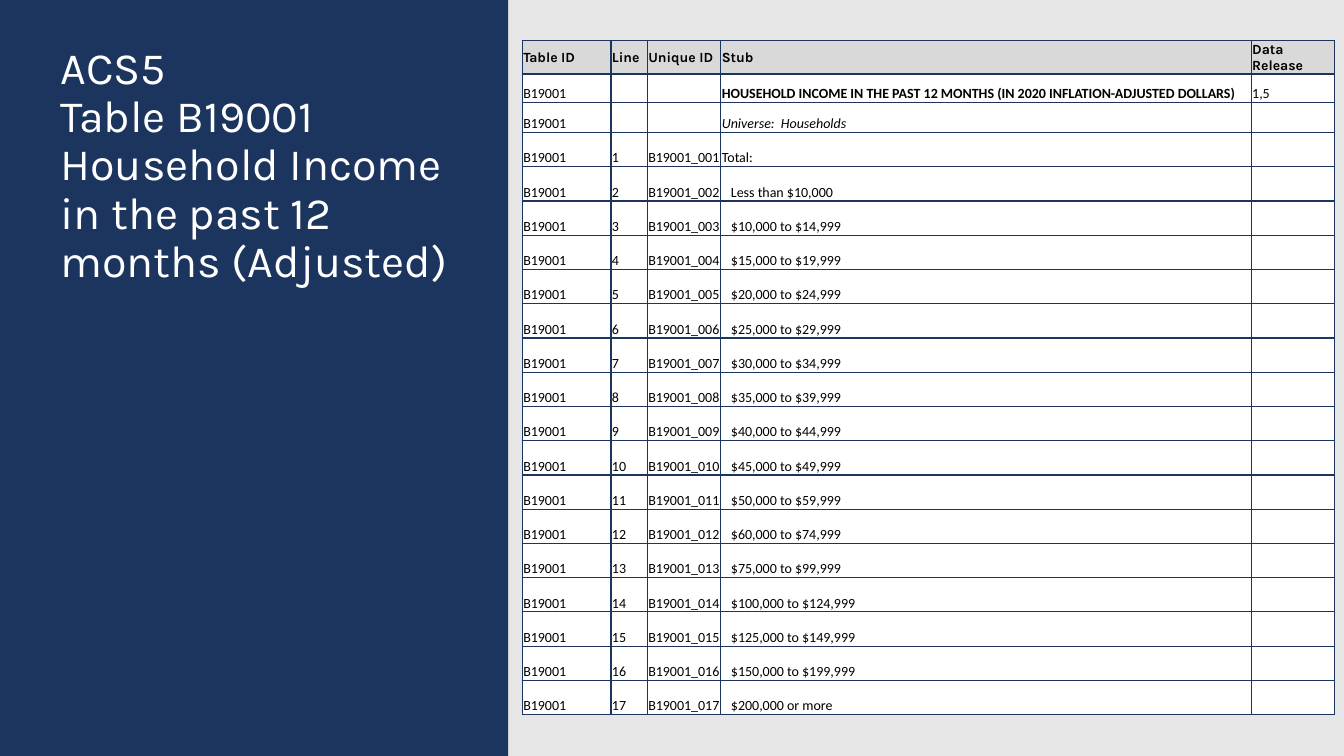
from lxml.etree import SubElement
from pptx import Presentation
from pptx.dml.color import RGBColor
from pptx.enum.shapes import MSO_SHAPE
from pptx.enum.text import MSO_ANCHOR, MSO_AUTO_SIZE, PP_ALIGN
from pptx.oxml.ns import qn
from pptx.util import Inches, Pt

NAVY = RGBColor(0x1C, 0x35, 0x5E)
PALE_GRAY = RGBColor(0xE7, 0xE6, 0xE6)
HEADER_GRAY = RGBColor(0xD9, 0xD9, 0xD9)
WHITE = RGBColor(0xFF, 0xFF, 0xFF)
BLACK = RGBColor(0, 0, 0)

TITLE = "ACS5\vTable B19001\vHousehold Income in the past 12 months (Adjusted)"
TABLE_ID = "B19001"
HEADINGS = ["Table ID", "Line", "Unique ID", "Stub", "Data Release"]
SUBJECT = "HOUSEHOLD INCOME IN THE PAST 12 MONTHS (IN 2020 INFLATION-ADJUSTED DOLLARS)"
UNIVERSE = "Universe:  Households"
STUBS = [
    "Total:", "Less than $10,000", "$10,000 to $14,999", "$15,000 to $19,999",
    "$20,000 to $24,999", "$25,000 to $29,999", "$30,000 to $34,999",
    "$35,000 to $39,999", "$40,000 to $44,999", "$45,000 to $49,999",
    "$50,000 to $59,999", "$60,000 to $74,999", "$75,000 to $99,999",
    "$100,000 to $124,999", "$125,000 to $149,999", "$150,000 to $199,999",
    "$200,000 or more",
]
COLUMN_WIDTHS = [0.88, 0.36, 0.73, 5.26, 0.83]
STUB_COLUMN = HEADINGS.index("Stub")
ROW_HEIGHTS = [0.27, 0.28, 0.3] + [0.34] * len(STUBS)


def add_title(slide):
    title = slide.shapes.title
    title.left, title.top = Inches(0.5), Inches(0.4)
    title.width, title.height = Inches(4.36), Inches(2.69)
    frame = title.text_frame
    frame.text = TITLE
    frame.word_wrap = True
    frame.auto_size = MSO_AUTO_SIZE.NONE
    frame.vertical_anchor = MSO_ANCHOR.TOP
    paragraph = frame.paragraphs[0]
    paragraph.alignment = PP_ALIGN.LEFT
    paragraph.line_spacing = 0.9
    for run in paragraph.runs:
        run.font.name = "Karla"
        run.font.size = Pt(32)
        run.font.color.rgb = WHITE


def add_title_panel(slide):
    """Place the navy panel behind the title."""
    panel = slide.shapes.add_shape(
        MSO_SHAPE.RECTANGLE, 0, 0, Inches(5.04), Inches(7.5))
    panel.shadow.inherit = False
    panel.fill.solid()
    panel.fill.fore_color.rgb = NAVY
    panel.line.fill.background()
    slide.shapes.title.element.addprevious(panel.element)


def set_borders(cell):
    properties = cell._tc.get_or_add_tcPr()
    for position, side in enumerate(("a:lnL", "a:lnR", "a:lnT", "a:lnB")):
        line = SubElement(properties, qn(side), w=str(Pt(1)))
        fill = SubElement(line, qn("a:solidFill"))
        SubElement(fill, qn("a:srgbClr"), val=str(NAVY))
        properties.insert(position, line)


def fill_cell(cell, text, header=False, bold=False, italic=False, indent=0.01):
    cell.fill.solid()
    cell.fill.fore_color.rgb = HEADER_GRAY if header else WHITE
    set_borders(cell)
    cell.margin_left = Inches(indent)
    cell.margin_top = cell.margin_right = Inches(0.01)
    cell.margin_bottom = 0
    cell.vertical_anchor = MSO_ANCHOR.MIDDLE if header else MSO_ANCHOR.BOTTOM
    paragraph = cell.text_frame.paragraphs[0]
    if not text:
        SubElement(paragraph._p, qn("a:endParaRPr"), sz="1000")
        return
    paragraph.text = text
    font = paragraph.runs[0].font
    font.name = "Karla" if header else "Calibri"
    font.size = Pt(10)
    font.bold = header or bold
    font.italic = italic
    font.color.rgb = BLACK


def add_income_table(slide):
    records = [
        HEADINGS,
        [TABLE_ID, "", "", SUBJECT, "1,5"],
        [TABLE_ID, "", "", UNIVERSE, ""],
    ]
    records += [[TABLE_ID, str(line), f"{TABLE_ID}_{line:03}", stub, ""]
                for line, stub in enumerate(STUBS, start=1)]
    table = slide.shapes.add_table(
        len(records), len(HEADINGS), Inches(5.18), Inches(0.4),
        Inches(sum(COLUMN_WIDTHS)), Inches(sum(ROW_HEIGHTS))).table
    for column, width in zip(table.columns, COLUMN_WIDTHS):
        column.width = Inches(width)
    for row, height in zip(table.rows, ROW_HEIGHTS):
        row.height = Inches(height)
    for row_number, record in enumerate(records):
        for column_number, text in enumerate(record):
            is_bracket = column_number == STUB_COLUMN and text in STUBS[1:]
            fill_cell(table.cell(row_number, column_number), text,
                      header=row_number == 0, bold=text == SUBJECT,
                      italic=text == UNIVERSE,
                      indent=0.1 if is_bracket else 0.01)


def main():
    presentation = Presentation()
    presentation.slide_width = Inches(13.33)
    presentation.slide_height = Inches(7.5)
    slide = presentation.slides.add_slide(presentation.slide_layouts[5])
    slide.background.fill.solid()
    slide.background.fill.fore_color.rgb = PALE_GRAY
    add_title(slide)
    add_title_panel(slide)
    add_income_table(slide)
    presentation.save("out.pptx")


if __name__ == "__main__":
    main()
